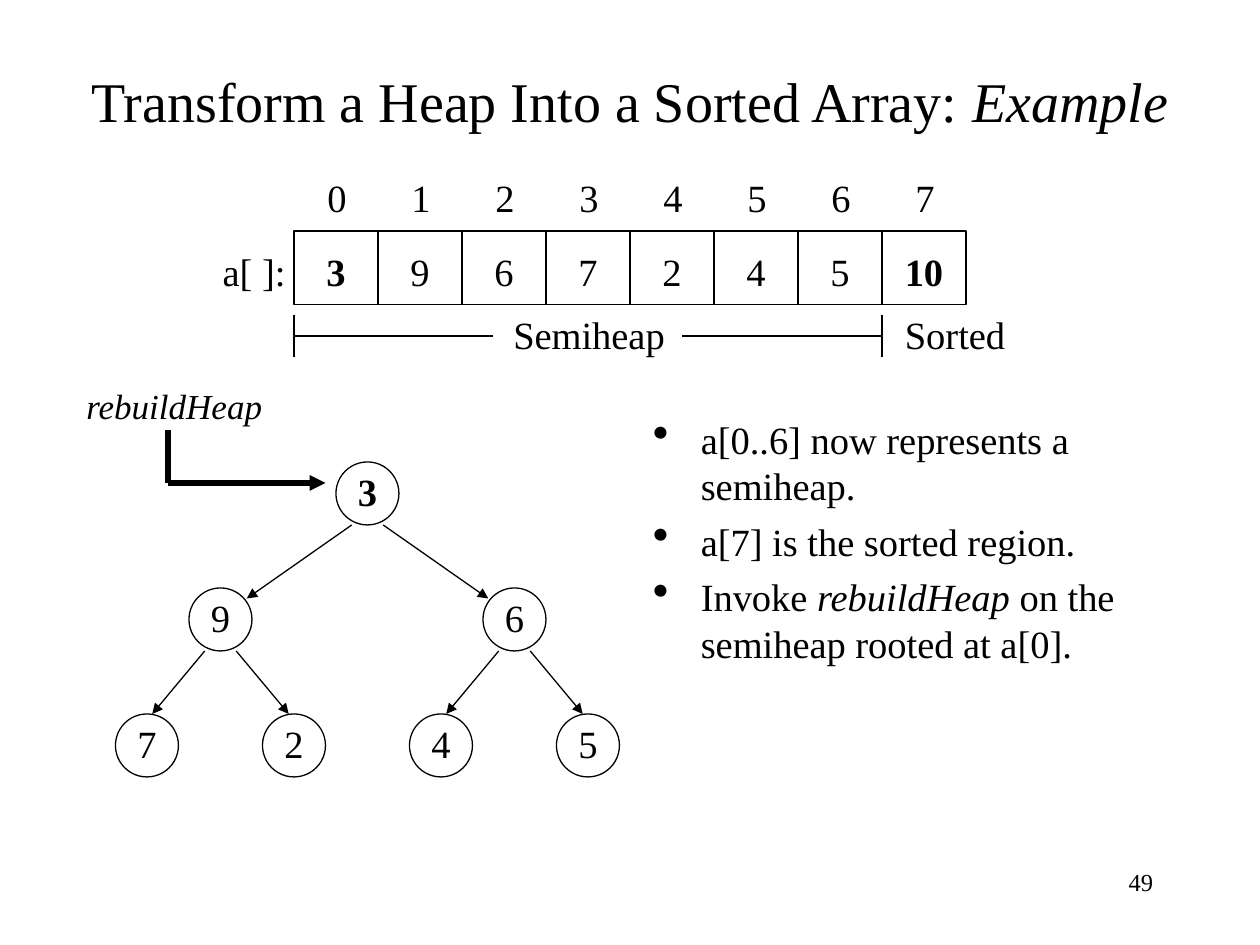
from lxml import etree
from pptx import Presentation
from pptx.dml.color import RGBColor
from pptx.enum.shapes import MSO_CONNECTOR as CONNECTOR, MSO_SHAPE as SHAPE
from pptx.enum.text import MSO_ANCHOR as ANCHOR, PP_ALIGN as ALIGN
from pptx.oxml.ns import qn
from pptx.util import Inches, Pt

COLORS = {"ink": "000000", "paper": "FFFFFF"}
INK = RGBColor.from_string(COLORS["ink"])
FONT = "Times New Roman"

prs = Presentation()
prs.slide_width, prs.slide_height = Inches(10), Inches(7.5)
COL, ROW = prs.slide_width / 120, prs.slide_height / 90
slide = prs.slides.add_slide(prs.slide_layouts[5])
slide.background.fill.solid()
slide.background.fill.fore_color.rgb = RGBColor.from_string(COLORS["paper"])
shapes = slide.shapes


def style(frame, size, align=ALIGN.CENTER, anchor=ANCHOR.MIDDLE, bold=None, italic=None):
    frame.vertical_anchor = anchor
    for paragraph in frame.paragraphs:
        paragraph.alignment = align
        for run in paragraph.runs:
            run.font.name, run.font.size = FONT, Pt(size)
            run.font.bold, run.font.italic = bold, italic
            run.font.color.rgb = INK


def draw_line(x1, y1, x2, y2, width=0.75, arrow=False):
    line = shapes.add_connector(
        CONNECTOR.STRAIGHT, int(x1 * COL), int(y1 * ROW), int(x2 * COL), int(y2 * ROW))
    line.line.color.rgb, line.line.width = INK, Pt(width)
    if arrow:
        etree.SubElement(line.line._get_or_add_ln(), qn("a:tailEnd"), type="triangle")
    etree.SubElement(line._element.spPr, qn("a:effectLst"))


title = shapes.title
title.left, title.top = int(7 * COL), int(6 * ROW)
title.width, title.height = int(106 * COL), int(7 * ROW)
heading = title.text_frame.paragraphs[0]
heading.text = "Transform a Heap Into a Sorted Array: "
heading.add_run().text = "Example"
style(title.text_frame, 32)
heading.runs[1].font.italic = True

notes = shapes.add_textbox(int(61 * COL), int(39 * ROW), int(51 * COL), int(44 * ROW)).text_frame
notes.word_wrap = True
notes.text = "a[0..6] now represents a semiheap.\na[7] is the sorted region.\nInvoke "
step = notes.paragraphs[2]
for part in ("rebuildHeap", " on the semiheap rooted at a[0]."):
    step.add_run().text = part
style(notes, 22, ALIGN.LEFT, ANCHOR.TOP)
step.runs[1].font.italic = True
for paragraph in notes.paragraphs:
    paragraph.space_before = Pt(5.5)
    props = paragraph._p.get_or_add_pPr()
    props.set("marL", str(Inches(0.38)))
    props.set("indent", str(-Inches(0.38)))
    etree.SubElement(props, qn("a:buSzPct"), val="120000")
    etree.SubElement(props, qn("a:buChar"), char="•")

values = [3, 9, 6, 7, 2, 4, 5, 10]
cells = [(SHAPE.RECTANGLE, 28 + 8 * i, 22, 8, 7, value, value in (3, 10), 0.06, 0)
         for i, value in enumerate(values)]

centers = [(35, 44), (21, 56), (49, 56), (14, 68), (28, 68), (42, 68), (56, 68)]
nodes = [(SHAPE.OVAL, x - 3, y, 6, 6, value, value == 3, 0, 0.03)
         for (x, y), value in zip(centers, values)]

for outline, x, y, width, height, value, bold, above, below in cells + nodes:
    box = shapes.add_shape(
        outline, int(x * COL), int(y * ROW), int(width * COL), int(height * ROW))
    box.shadow.inherit = False
    box.fill.background()
    box.line.color.rgb, box.line.width = INK, Pt(0.75)
    frame = box.text_frame
    frame.word_wrap = False
    frame.margin_left = frame.margin_right = 0
    frame.margin_top, frame.margin_bottom = Inches(above), Inches(below)
    frame.text = str(value)
    style(frame, 22, bold=bold)

for child in range(1, len(centers)):
    parent_x, parent_y = centers[(child - 1) // 2]
    child_x, child_y = centers[child]
    side = -1 if child % 2 else 1
    inset, drop = (2.5, 1) if child < 3 else (0.5, 0)
    draw_line(parent_x + 1.5 * side, parent_y + 6,
              child_x - inset * side, child_y + drop, arrow=True)

labels = [(str(i), 30 + 8 * i, 16, 4, 5.6, 22, ALIGN.CENTER, ANCHOR.TOP, None)
          for i in range(len(values))]
labels += [
    ("a[ ]:", 20, 23, 8.4, 5.6, 22, ALIGN.CENTER, ANCHOR.MIDDLE, None),
    ("Semiheap", 47.7, 29, 16.8, 5.6, 22, ALIGN.CENTER, ANCHOR.MIDDLE, None),
    ("Sorted", 85, 29, 14, 5.6, 22, ALIGN.LEFT, ANCHOR.MIDDLE, None),
    ("rebuildHeap", 7, 36, 19.2, 5.3, 20, ALIGN.CENTER, ANCHOR.MIDDLE, True),
    ("49", 86, 82, 25, 6, 14, ALIGN.RIGHT, ANCHOR.TOP, None),
]
for text, x, y, width, height, size, align, anchor, italic in labels:
    frame = shapes.add_textbox(
        int(x * COL), int(y * ROW), int(width * COL), int(height * ROW)).text_frame
    frame.word_wrap = True
    frame.text = text
    style(frame, size, align, anchor, italic=italic)

for end, gap in ((28, 47), (84, 65)):
    draw_line(end, 30, end, 34)
    draw_line(min(end, gap), 32, max(end, gap), 32)

draw_line(16, 41, 16, 46, width=3)
draw_line(16, 46, 31, 46, width=3, arrow=True)

prs.save("out.pptx")
